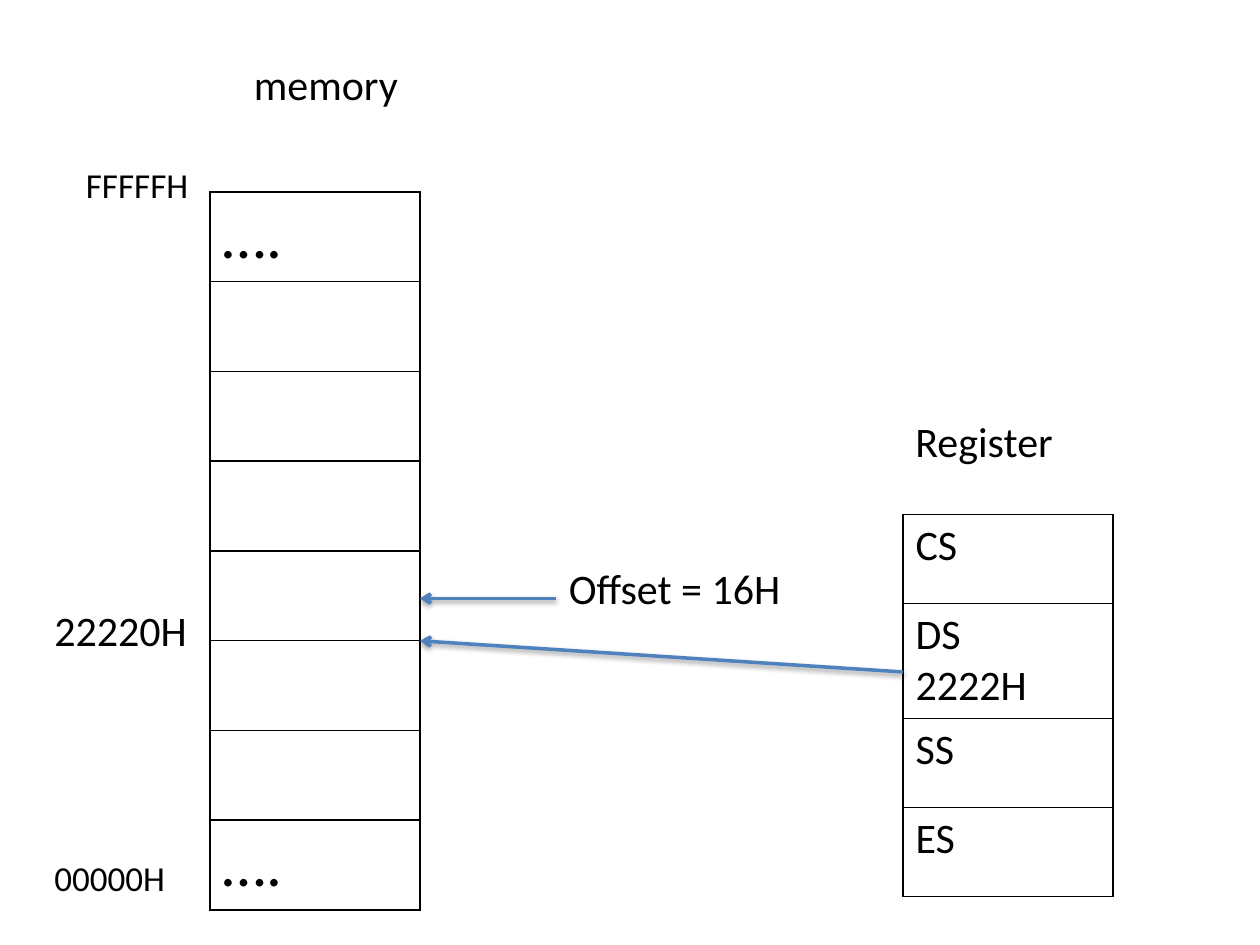
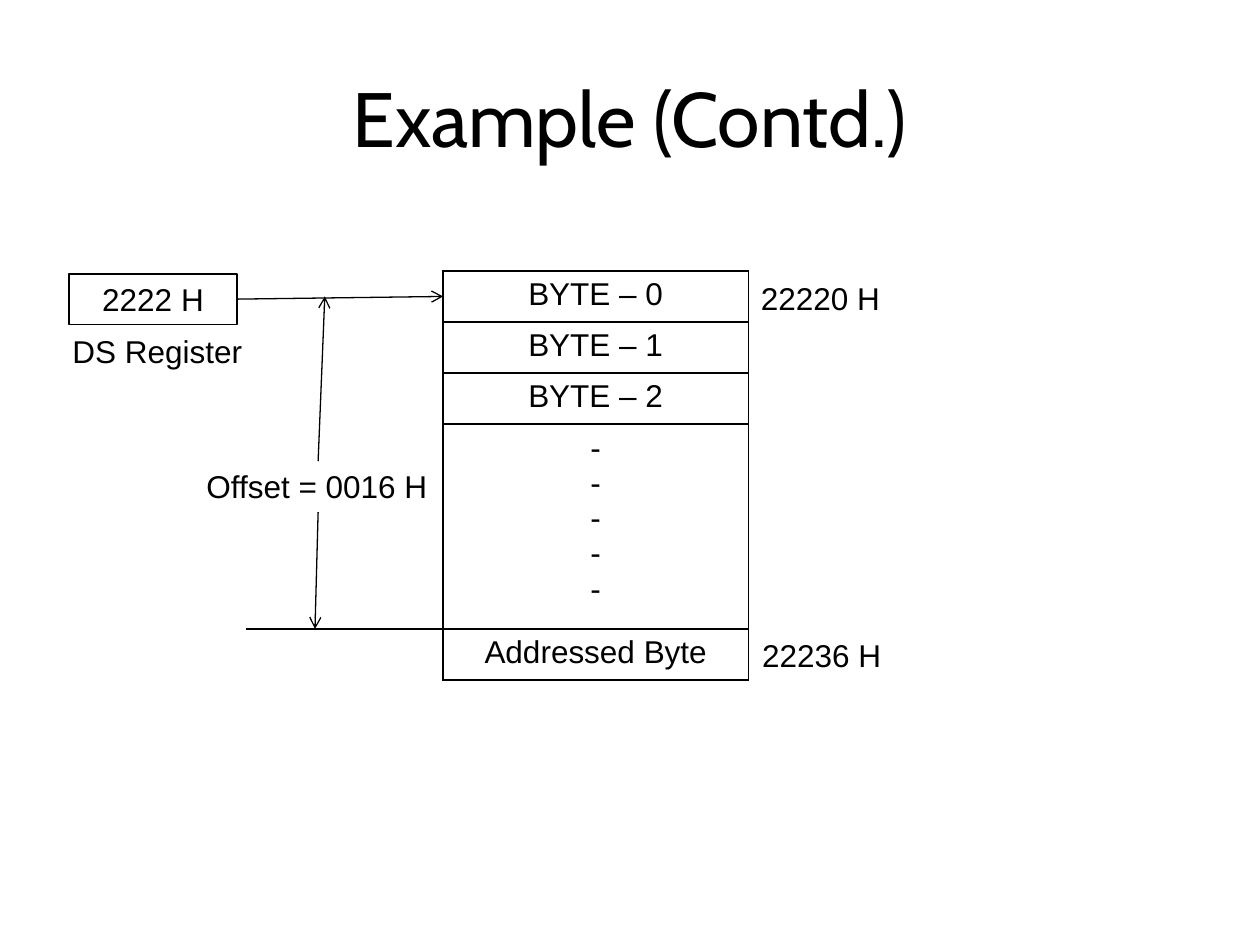
from lxml import etree
from pptx import Presentation
from pptx.dml.color import RGBColor
from pptx.enum.shapes import MSO_CONNECTOR as Connector, MSO_SHAPE as Shape
from pptx.enum.text import MSO_ANCHOR as Anchor, MSO_AUTO_SIZE as AutoSize, PP_ALIGN as Align
from pptx.oxml import parse_xml
from pptx.oxml.ns import nsdecls, qn
from pptx.util import Pt

BLACK, BLUE = "000000", "4F81BD"
DOTS = {"name": "Calibri", "size": Pt(36)}
LARGE = {"name": "Calibri", "size": Pt(24)}
SMALL = {"name": "Calibri", "size": Pt(20)}
DIAGRAM = {"name": "Arial", "size": Pt(18)}
TITLE = {"name": "Cabin", "size": Pt(44)}

MEMORY_CELLS = ["….", "", "", "", "", "", "", "…."]
MEMORY_LEFT, MEMORY_TOP, MEMORY_ROW = 120, 109.7, 51.3
COLUMN_WIDTH = 120
REGISTER_ROWS = [("CS", 50.8), ("DS\n2222H", 64.6), ("SS", 50.8), ("ES", 50.8)]
REGISTER_LEFT, REGISTER_TOP = 516, 294
MEMORY_LABELS = [
    ("FFFFFH", 42, 90, 73.4, 31.5, SMALL),
    ("00000H", 24, 486, 78.5, 31.5, SMALL),
    ("memory", 138, 30, 97.2, 36, LARGE),
    ("Register", REGISTER_LEFT, 234, 95, 36, LARGE),
    ("22220H", 24, 342, 90.7, 36, LARGE),
    ("Offset = 16H", 318, 318, 136.8, 36, LARGE),
]

BYTE_ROWS = [(f"BYTE – {number}", 29.2) for number in range(3)] + [
    ("\n".join("-" * 5), 117), ("Addressed Byte", 29.2)]
BYTE_LEFT, BYTE_TOP, BYTE_WIDTH = 253.2, 154.8, 174.4
LABEL_HEIGHT = 29.1
BYTE_LABELS = [
    ("22220 H", 427.7, 156, 83.5, Align.LEFT),
    ("22236 H", 428.4, 360, 83.5, Align.LEFT),
    ("DS Register", 33.8, 186, 112.3, Align.CENTER),
]


def color(value):
    return RGBColor.from_string(value)


def write(frame, text, font, align=Align.LEFT):
    frame.text = text
    for paragraph in frame.paragraphs:
        paragraph.alignment = align
        for name, value in font.items():
            setattr(paragraph.font, name, value)
        paragraph.font.color.rgb = color(BLACK)


def add_text(slide, text, left, top, width, height, font, align=Align.LEFT, **frame_format):
    box = slide.shapes.add_textbox(Pt(left), Pt(top), Pt(width), Pt(height))
    frame_format = {"word_wrap": False, "auto_size": AutoSize.SHAPE_TO_FIT_TEXT} | frame_format
    for name, value in frame_format.items():
        setattr(box.text_frame, name, value)
    write(box.text_frame, text, font, align)
    return box


def add_column(slide, rows, left, top, width, font, align=Align.LEFT):
    height = sum(row_height for _, row_height in rows)
    table = slide.shapes.add_table(len(rows), 1, Pt(left), Pt(top), Pt(width), Pt(height)).table
    table.first_row = table.horz_banding = False
    for index, (text, row_height) in enumerate(rows):
        table.rows[index].height = Pt(row_height)
        cell = table.cell(index, 0)
        write(cell.text_frame, text, font, align)
        cell.fill.background()
        properties = cell._tc.get_or_add_tcPr()
        for position, side in enumerate("LRTB"):
            properties.insert(position, parse_xml(
                f'<a:ln{side} {nsdecls("a")} w="{Pt(1)}"><a:solidFill>'
                f'<a:srgbClr val="{BLACK}"/></a:solidFill></a:ln{side}>'))


def add_line(slide, start, end, line_color=BLACK, width=0.75, arrow=True, shadow=False):
    points = [Pt(value) for value in (*start, *end)]
    connector = slide.shapes.add_connector(Connector.STRAIGHT, *points)
    connector.line.color.rgb = color(line_color)
    connector.line.width = Pt(width)
    properties = connector._element.spPr
    if arrow:
        etree.SubElement(properties.find(qn("a:ln")), qn("a:tailEnd"), type="arrow")
    effects = etree.SubElement(properties, qn("a:effectLst"))
    if shadow:
        outer = etree.SubElement(effects, qn("a:outerShdw"), blurRad=str(Pt(3.1)),
                                 dist=str(Pt(1.6)), dir="5400000", rotWithShape="0")
        tint = etree.SubElement(outer, qn("a:srgbClr"), val=BLACK)
        etree.SubElement(tint, qn("a:alpha"), val="38000")
    return connector


def build_memory_slide(slide):
    memory_rows = [(text, MEMORY_ROW) for text in MEMORY_CELLS]
    add_column(slide, memory_rows, MEMORY_LEFT, MEMORY_TOP, COLUMN_WIDTH, DOTS)
    add_column(slide, REGISTER_ROWS, REGISTER_LEFT, REGISTER_TOP, COLUMN_WIDTH, LARGE)
    for label in MEMORY_LABELS:
        add_text(slide, *label)
    memory_right = MEMORY_LEFT + COLUMN_WIDTH
    segment_base = MEMORY_TOP + 5 * MEMORY_ROW
    for start, end_top in [((REGISTER_LEFT, 384), segment_base), ((318, 342), 342)]:
        add_line(slide, start, (memory_right, end_top), BLUE, 2, shadow=True)


def build_example_slide(slide):
    add_text(slide, "Example (Contd.)", 36, 21.6, 648, 90, TITLE, Align.CENTER,
             word_wrap=True, auto_size=AutoSize.NONE, vertical_anchor=Anchor.MIDDLE)
    add_column(slide, BYTE_ROWS, BYTE_LEFT, BYTE_TOP, BYTE_WIDTH, DIAGRAM, Align.CENTER)
    for text, left, top, width, align in BYTE_LABELS:
        add_text(slide, text, left, top, width, LABEL_HEIGHT, DIAGRAM, align)

    register = slide.shapes.add_shape(Shape.RECTANGLE, Pt(39.4), Pt(156.4), Pt(96), Pt(LABEL_HEIGHT))
    register.shadow.inherit = False
    register.fill.background()
    register.line.color.rgb = color(BLACK)
    register.line.width = Pt(1)
    write(register.text_frame, "2222 H", DIAGRAM, Align.CENTER)
    offset = add_text(slide, "Offset = 0016 H", 110.9, 263.5, 141.8, LABEL_HEIGHT, DIAGRAM)

    first_middle = BYTE_TOP + BYTE_ROWS[0][1] / 2
    last_top = BYTE_TOP + sum(height for _, height in BYTE_ROWS[:-1])
    joined_lines = [
        (register, 3, (135.4, 171), (BYTE_LEFT, first_middle)),
        (offset, 0, (181.8, 263.5), (185.6, first_middle)),
        (offset, 2, (181.8, 292.6), (180, last_top)),
    ]
    for shape, site, start, end in joined_lines:
        add_line(slide, start, end).begin_connect(shape, site)
    add_line(slide, (BYTE_LEFT, last_top), (140.4, last_top), arrow=False)


def main():
    presentation = Presentation()
    presentation.slide_width, presentation.slide_height = Pt(720), Pt(540)
    for build in (build_memory_slide, build_example_slide):
        build(presentation.slides.add_slide(presentation.slide_layouts[6]))
    presentation.save("out.pptx")


if __name__ == "__main__":
    main()
